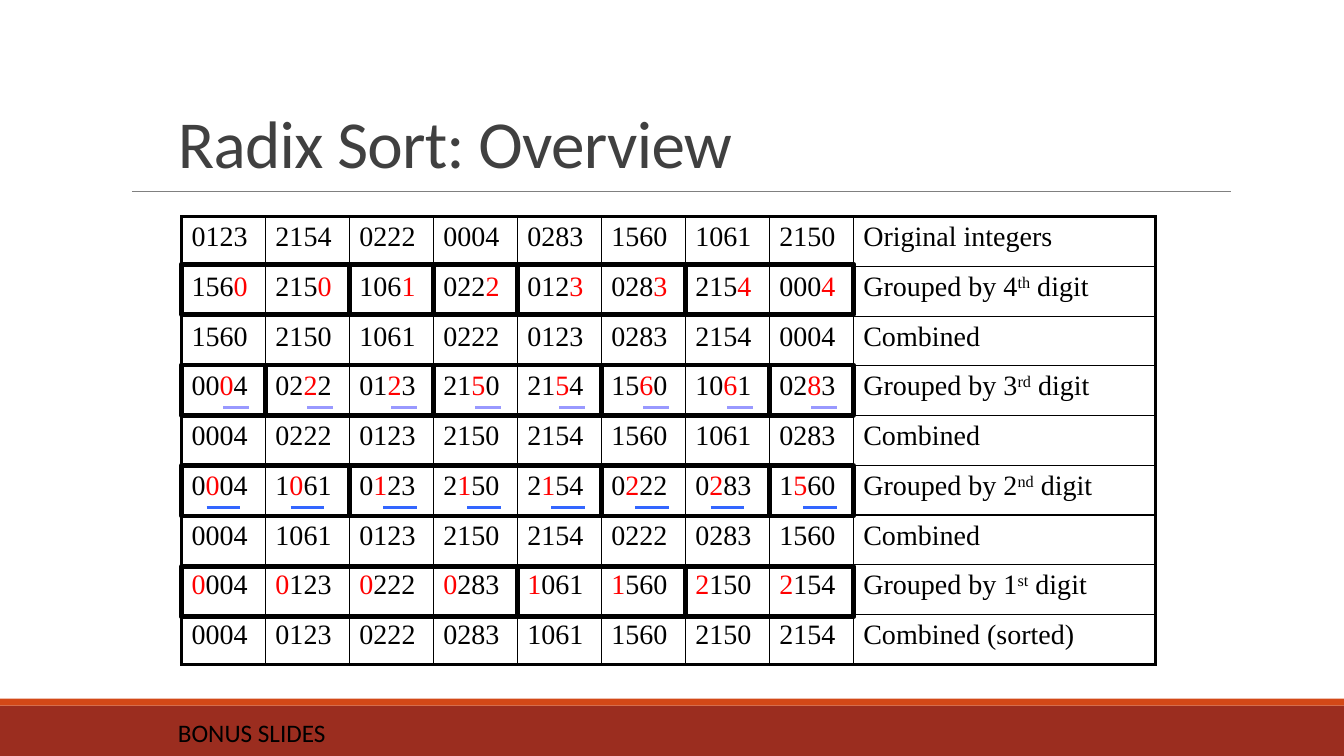
from itertools import groupby

from lxml import etree
from pptx import Presentation
from pptx.dml.color import RGBColor
from pptx.enum.shapes import MSO_CONNECTOR, MSO_SHAPE
from pptx.enum.text import MSO_ANCHOR
from pptx.oxml.ns import qn
from pptx.util import Pt

RECTANGLE = MSO_SHAPE.RECTANGLE
STRAIGHT = MSO_CONNECTOR.STRAIGHT
TOP, BOTTOM = MSO_ANCHOR.TOP, MSO_ANCHOR.BOTTOM

BLACK = RGBColor(0x00, 0x00, 0x00)
RED = RGBColor(0xFF, 0x00, 0x00)
CHARCOAL = RGBColor(0x40, 0x40, 0x40)
GRAY = RGBColor(0x80, 0x80, 0x80)
BRICK = RGBColor(0x9B, 0x2D, 0x1F)
ORANGE = RGBColor(0xD3, 0x48, 0x17)
LAVENDER = RGBColor(0x99, 0x99, 0xFF)
BLUE = RGBColor(0x33, 0x66, 0xFF)

HEADING_FONT = "Calibri"
TABLE_FONT = "Times New Roman"

INTEGERS = ["0123", "2154", "0222", "0004", "0283", "1560", "1061", "2150"]
PASSES = [(3, "th"), (2, "rd"), (1, "nd"), (0, "st")]

GRID_LEFT, GRID_TOP = 129.6, 154.8
DIGIT_COLUMN, LABEL_COLUMN, ROW_HEIGHT = 60, 216, 35.52
FIRST_GROUP_TOP, GROUP_STEP, GROUP_HEIGHT = 188.64, 72, 36
THIN, THICK = 1, 2.25


class SlideBuilder:
    def __init__(self, slide):
        self.slide = slide

    def rectangle(self, left, top, width, height, fill=None, outline=None, weight=0):
        box = self.slide.shapes.add_shape(
            RECTANGLE, Pt(left), Pt(top), Pt(width), Pt(height))
        box.shadow.inherit = False
        if fill is None:
            box.fill.background()
        else:
            box.fill.solid()
            box.fill.fore_color.rgb = fill
        if outline is None:
            box.line.fill.background()
        else:
            box.line.color.rgb = outline
            box.line.width = Pt(weight)

    def rule(self, left, top, width, color, weight):
        rule = self.slide.shapes.add_connector(
            STRAIGHT, Pt(left), Pt(top), Pt(left + width), Pt(top))
        rule.line.color.rgb = color
        rule.line.width = Pt(weight)
        etree.SubElement(rule._element.spPr, qn("a:effectLst"))

    def text(self, left, top, width, height, words, size, color,
             anchor=TOP, line_spacing=None, tracking=None):
        frame = self.slide.shapes.add_textbox(
            Pt(left), Pt(top), Pt(width), Pt(height)).text_frame
        frame.word_wrap = True
        frame.vertical_anchor = anchor
        paragraph = frame.paragraphs[0]
        self.style(paragraph, HEADING_FONT, size, color)
        paragraph.line_spacing = line_spacing
        run = paragraph.add_run()
        run.text = words
        if tracking is not None:
            run._r.get_or_add_rPr().set("spc", str(int(tracking * 100)))

    def style(self, paragraph, font, size, color):
        paragraph.font.name = font
        paragraph.font.size = Pt(size)
        paragraph.font.color.rgb = color

    def table(self, left, top, column_widths, row_height, rows):
        last_row, last_column = len(rows) - 1, len(column_widths) - 1
        table = self.slide.shapes.add_table(
            len(rows), len(column_widths), Pt(left), Pt(top),
            Pt(sum(column_widths)), Pt(row_height * len(rows))).table
        table.first_row = table.horz_banding = False
        for column, width in zip(table.columns, column_widths):
            column.width = Pt(width)
        for r, row in enumerate(rows):
            table.rows[r].height = Pt(row_height)
            for c, pieces in enumerate(row):
                outer = {"L": c == 0, "R": c == last_column,
                         "T": r == 0, "B": r == last_row}
                self.cell(table.cell(r, c), pieces, outer)

    def cell(self, cell, pieces, outer):
        paragraph = cell.text_frame.paragraphs[0]
        self.style(paragraph, TABLE_FONT, 20, BLACK)
        for words, role in pieces:
            if not words:
                continue
            run = paragraph.add_run()
            run.text = words
            if role == "digit":
                run.font.color.rgb = RED
            elif role == "ordinal":
                run._r.get_or_add_rPr().set("baseline", "30000")
        properties = cell._tc.get_or_add_tcPr()
        for side, is_outer in outer.items():
            border = etree.SubElement(
                properties, qn("a:ln" + side), w=str(Pt(THICK if is_outer else THIN)))
            fill = etree.SubElement(border, qn("a:solidFill"))
            etree.SubElement(fill, qn("a:srgbClr"), val=str(BLACK))
        cell.fill.background()


def plain_row(integers, label):
    return [[(integer, "")] for integer in integers] + [[(label, "")]]


def grouped_row(integers, place, ordinal):
    cells = [[(integer[:place], ""), (integer[place], "digit"), (integer[place + 1:], "")]
             for integer in integers]
    label = [(f"Grouped by {place + 1}", ""), (ordinal, "ordinal"), (" digit", "")]
    return cells + [label]


def main():
    presentation = Presentation()
    presentation.slide_width, presentation.slide_height = Pt(960), Pt(540)
    builder = SlideBuilder(presentation.slides.add_slide(presentation.slide_layouts[6]))

    builder.rectangle(0, 504, 960, 36, fill=BRICK)
    builder.rectangle(0, 499, 960, 5, fill=ORANGE)
    builder.rule(94.3, 136.8, 784.8, GRAY, 0.5)
    builder.text(120, 44, 720, 90, "Radix Sort: Overview", 48, CHARCOAL,
                 anchor=BOTTOM, line_spacing=0.85, tracking=-0.5)

    order = INTEGERS
    rows = [plain_row(order, "Original integers")]
    groupings = []
    for place, ordinal in PASSES:
        order = sorted(order, key=lambda integer: integer[place])
        rows.append(grouped_row(order, place, ordinal))
        rows.append(plain_row(order, "Combined" if place else "Combined (sorted)"))
        groupings.append([len(list(group)) for _, group in
                          groupby(order, key=lambda integer: integer[place])])
    builder.table(GRID_LEFT, GRID_TOP, [DIGIT_COLUMN] * len(INTEGERS) + [LABEL_COLUMN],
                  ROW_HEIGHT, rows)

    for step, group_sizes in enumerate(groupings):
        start = 0
        for size in group_sizes:
            builder.rectangle(GRID_LEFT + start * DIGIT_COLUMN,
                              FIRST_GROUP_TOP + step * GROUP_STEP,
                              size * DIGIT_COLUMN, GROUP_HEIGHT,
                              outline=BLACK, weight=3.25)
            start += size

    for column in range(len(INTEGERS)):
        column_left = GRID_LEFT + column * DIGIT_COLUMN
        builder.rule(column_left + 30, 290.8, 18, LAVENDER, THICK)
        indent = 18 if column in (0, 1, 6) else 24
        builder.rule(column_left + indent, 362.8, 24, BLUE, THICK)

    builder.text(120, 509, 181, 29, "BONUS SLIDES", 18, BLACK)
    presentation.save("out.pptx")


if __name__ == "__main__":
    main()
